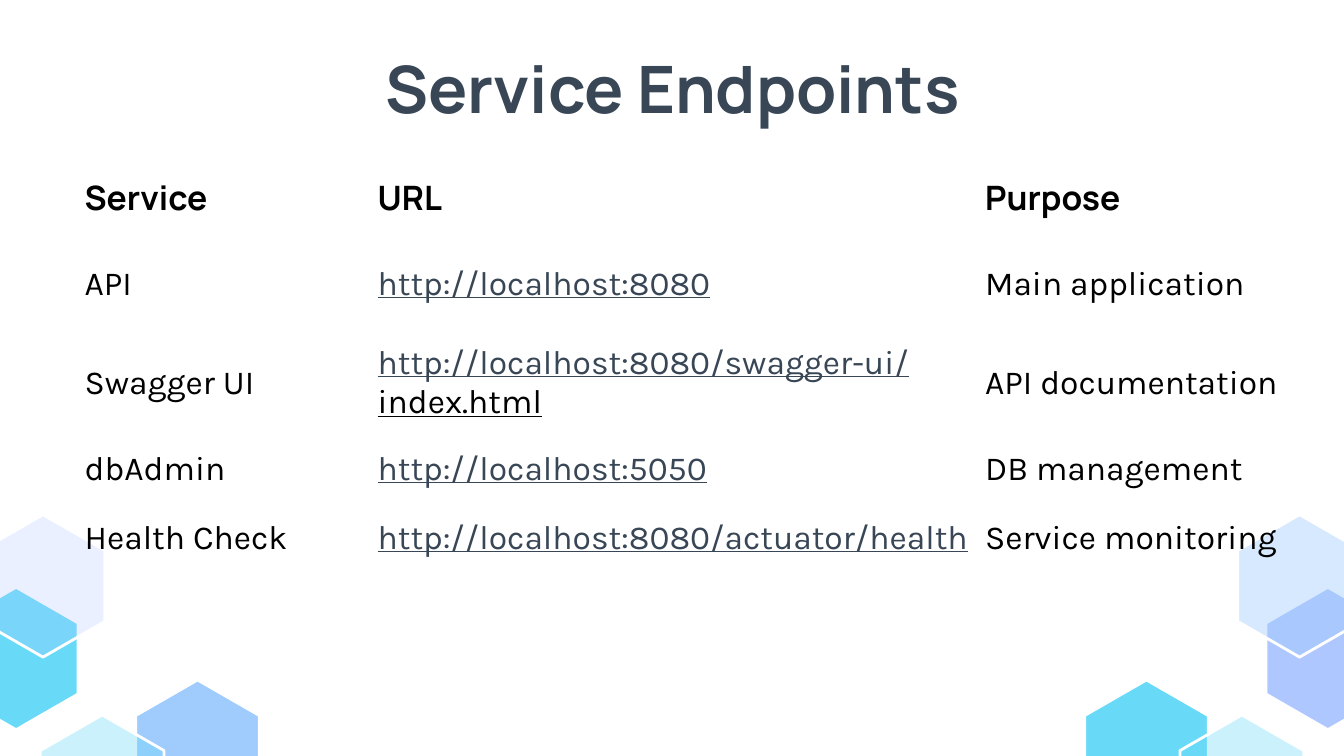
import pptx
import pptx.dml.color
import pptx.enum.text
import pptx.oxml.ns
import pptx.util
from lxml import etree

Inches, Pt = pptx.util.Inches, pptx.util.Pt
MSO_ANCHOR, PP_ALIGN = pptx.enum.text.MSO_ANCHOR, pptx.enum.text.PP_ALIGN
qn = pptx.oxml.ns.qn

# Content
TITLE = "Service Endpoints"
HEADER = ("Service", "URL", "Purpose")
ENDPOINTS = [
    # service, linked URL, unlinked-colour rest of the URL, purpose
    ("API", "http://localhost:8080", "", "Main application"),
    ("Swagger UI", "http://localhost:8080/swagger-ui/", "index.html", "API documentation"),
    ("dbAdmin", "http://localhost:5050", "", "DB management"),
    ("Health Check", "http://localhost:8080/actuator/health", "", "Service monitoring"),
]
COL_WIDTHS = (2.18, 4.52, 2.37)
ROW_HEIGHTS = (0.53, 0.69, 0.78, 0.51, 0.51)

SLATE, BLACK, WHITE = "384655", "000000", "FFFFFF"
CYAN, SKY, LILAC = "68DAF8", "9FCBFD", "AFC7FF"
HEX_W, HEX_H = 0.92, 1.06
HEXAGONS = [
    # left, top, fill, opacity in percent
    (1.01, 5.06, SKY, 100), (0.30, 5.32, CYAN, 34),
    (-0.34, 4.37, CYAN, 100), (-0.14, 3.83, LILAC, 25),
    (9.42, 4.37, LILAC, 100), (9.21, 3.83, SKY, 41),
    (8.07, 5.06, CYAN, 100), (8.78, 5.32, CYAN, 34),
]
NO_STYLE_NO_GRID = "{2D5ABB26-0587-4C30-8999-92F81FD0307C}"


def rgb(value):
    return pptx.dml.color.RGBColor.from_string(value)


def add_run(p, text, color, **font):
    r = p.add_run()
    r.text = text
    r.font.color.rgb = rgb(color)
    for name, value in font.items():
        setattr(r.font, name, value)


def add_hexagon(s, left, top, color, opacity):
    mid, right = left + HEX_W / 2, left + HEX_W
    upper, lower, bottom = top + HEX_H / 4, top + HEX_H * 3 / 4, top + HEX_H
    points = [(mid, top), (left, upper), (left, lower),
              (mid, bottom), (right, lower), (right, upper)]
    points = [(Inches(x), Inches(y)) for x, y in points]
    builder = s.shapes.build_freeform(*points[0])
    builder.add_line_segments(points[1:], close=True)
    sp = builder.convert_to_shape()
    sp.shadow.inherit = False
    sp.fill.solid()
    sp.fill.fore_color.rgb = rgb(color)
    sp.line.color.rgb = rgb(WHITE)
    sp.line.width = Pt(1.5)
    if opacity < 100:
        clr = sp._element.spPr.find(qn("a:solidFill"))[0]
        etree.SubElement(clr, qn("a:alpha"), val=str(opacity * 1000))


def fill_cell(cell, runs, margin_y, anchor, **font):
    cell.fill.background()
    layout = {"margin_left": Inches(0.06), "margin_right": Inches(0.06),
              "margin_top": Inches(margin_y), "margin_bottom": Inches(margin_y),
              "vertical_anchor": anchor}
    for name, value in layout.items():
        setattr(cell, name, value)
    for text, color, underline in runs:
        add_run(cell.text_frame.paragraphs[0], text, color,
                size=Pt(18), underline=underline, **font)


# A 16:9 slide
prs = pptx.Presentation()
prs.slide_width, prs.slide_height = Inches(10), Inches(10 * 9 / 16)
s = prs.slides.add_slide(prs.slide_layouts[5])

# Corner hexagons
for hexagon in HEXAGONS:
    add_hexagon(s, *hexagon)

# Title
title = s.shapes.title
title.left, title.top = Inches(0.79), Inches(0.26)
title.width, title.height = Inches(8.43), Inches(0.63)
tf = title.text_frame
frame = {"margin_left": Inches(0.1), "margin_right": Inches(0.1),
         "margin_top": Inches(0.1), "margin_bottom": Inches(0.1),
         "vertical_anchor": MSO_ANCHOR.TOP, "word_wrap": True,
         "auto_size": pptx.enum.text.MSO_AUTO_SIZE.NONE}
for name, value in frame.items():
    setattr(tf, name, value)
p = tf.paragraphs[0]
p.alignment = PP_ALIGN.CENTER
add_run(p, TITLE, SLATE, name="Manrope", size=Pt(35), bold=True)

# Endpoint table
table = s.shapes.add_table(
    len(ROW_HEIGHTS), len(COL_WIDTHS), Inches(0.57), Inches(1.24),
    Inches(sum(COL_WIDTHS)), Inches(sum(ROW_HEIGHTS))).table
table.first_row = table.horz_banding = False
table._tbl.tblPr.find(qn("a:tableStyleId")).text = NO_STYLE_NO_GRID
for column, width in zip(table.columns, COL_WIDTHS):
    column.width = Inches(width)
for row, height in zip(table.rows, ROW_HEIGHTS):
    row.height = Inches(height)

for col, label in enumerate(HEADER):
    fill_cell(table.cell(0, col), [(label, BLACK, False)], 0.06,
              MSO_ANCHOR.TOP, name="Manrope", bold=True)
for row, (service, link, rest, purpose) in enumerate(ENDPOINTS, 1):
    url = [(link, SLATE, True)] + ([(rest, BLACK, True)] if rest else [])
    cells = [[(service, BLACK, False)], url, [(purpose, BLACK, False)]]
    for col, runs in enumerate(cells):
        fill_cell(table.cell(row, col), runs, 0.05,
                  MSO_ANCHOR.MIDDLE, name="Karla", bold=False)

prs.save("out.pptx")
